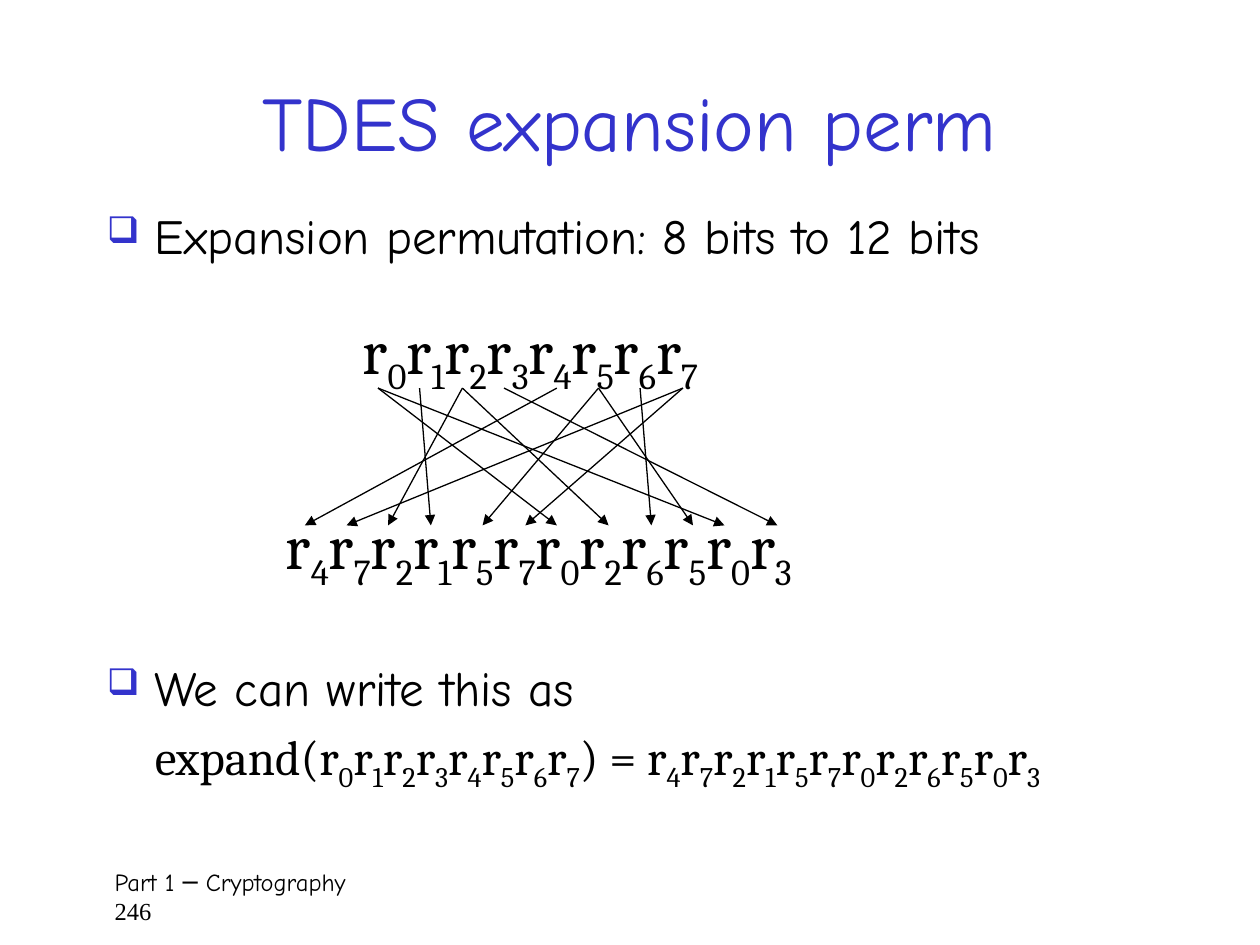
from dataclasses import dataclass

from lxml import etree
from pptx import Presentation
from pptx.dml.color import RGBColor
from pptx.enum.shapes import MSO_CONNECTOR
from pptx.enum.text import MSO_ANCHOR, PP_ALIGN
from pptx.oxml.ns import qn
from pptx.util import Inches, Pt

STRAIGHT = MSO_CONNECTOR.STRAIGHT
TOP, MIDDLE = MSO_ANCHOR.TOP, MSO_ANCHOR.MIDDLE
LEFT, CENTER = PP_ALIGN.LEFT, PP_ALIGN.CENTER


@dataclass(frozen=True)
class Theme:
    accent: RGBColor = RGBColor(0x33, 0x33, 0xCC)
    ink: RGBColor = RGBColor(0, 0, 0)
    hand: str = "Comic Neue"
    math: str = "Cambria"
    plain: str = "Times New Roman"
    title_size: int = 44
    bits_size: int = 36
    body_size: int = 28
    footer_size: int = 14
    arrow_width: float = 0.75
    subscript: int = -25000


THEME = Theme()
INPUT_BITS = range(8)
EXPANSION = (4, 7, 2, 1, 5, 7, 0, 2, 6, 5, 0, 3)
INPUT_X = (3, 3.33, 3.67, 4, 4.42, 4.75, 5.08, 5.42)
OUTPUT_X = (2.42, 2.75, 3.08, 3.42, 3.83, 4.17, 4.42, 4.83, 5.17, 5.5, 5.75, 6.17)
ARROW_TOP, ARROW_BOTTOM = 3.08, 4.17
BULLET_INDENT = 0.38


def add_text_frame(slide, box, anchor=TOP):
    frame = slide.shapes.add_textbox(*map(Inches, box)).text_frame
    frame.word_wrap = True
    frame.vertical_anchor = anchor
    return frame


def add_run(paragraph, text, size, name, color=THEME.ink):
    run = paragraph.add_run()
    run.text = text
    for attribute, value in {"size": Pt(size), "name": name}.items():
        setattr(run.font, attribute, value)
    run.font.color.rgb = color
    return run


def add_bits(paragraph, bits, size):
    """Write each bit as the letter r with its number as a subscript."""
    for bit in bits:
        add_run(paragraph, "r", size, THEME.math)
        number = add_run(paragraph, str(bit), size, THEME.math)
        number.font._element.set("baseline", str(THEME.subscript))


def set_indent(paragraph, bullet=False):
    properties = paragraph._p.get_or_add_pPr()
    properties.set("marL", str(Inches(BULLET_INDENT)))
    properties.set("indent", str(-Inches(BULLET_INDENT) if bullet else 0))
    if bullet:
        color = etree.SubElement(properties, qn("a:buClr"))
        etree.SubElement(color, qn("a:srgbClr"), val=str(THEME.accent))
        etree.SubElement(properties, qn("a:buSzPct"), val="75000")
        etree.SubElement(properties, qn("a:buChar"), char="❑")


def add_title(slide, box, text):
    paragraph = add_text_frame(slide, box, MIDDLE).paragraphs[0]
    paragraph.alignment = CENTER
    add_run(paragraph, text, THEME.title_size, THEME.hand, THEME.accent)


def add_bullet(slide, box, text):
    frame = add_text_frame(slide, box)
    set_indent(frame.paragraphs[0], bullet=True)
    add_run(frame.paragraphs[0], text, THEME.body_size, THEME.hand)
    return frame


def add_bit_row(slide, box, bits):
    add_bits(add_text_frame(slide, box).paragraphs[0], bits, THEME.bits_size)


def add_arrow(slide, start, end):
    arrow = slide.shapes.add_connector(STRAIGHT, *map(Inches, (*start, *end)))
    arrow.line.color.rgb = THEME.ink
    arrow.line.width = Pt(THEME.arrow_width)
    etree.SubElement(arrow.line._get_or_add_ln(), qn("a:tailEnd"), type="triangle")
    etree.SubElement(arrow._element.spPr, qn("a:effectLst"))


def add_expansion_arrows(slide):
    for bit, end_x in zip(EXPANSION, OUTPUT_X):
        add_arrow(slide, (INPUT_X[bit], ARROW_TOP), (end_x, ARROW_BOTTOM))


def add_formula(slide, box):
    frame = add_bullet(slide, box, "We can write this as")
    formula = frame.add_paragraph()
    set_indent(formula)
    formula.space_before = Pt(0.2 * THEME.body_size)
    size = THEME.body_size
    add_run(formula, "expand(", size, THEME.math)
    add_bits(formula, INPUT_BITS, size)
    add_run(formula, ") = ", size, THEME.math)
    add_bits(formula, EXPANSION, size)


def add_footer(slide, box, text, number):
    frame = add_text_frame(slide, box)
    frame.margin_left = Inches(0.16)
    frame.paragraphs[0].alignment = LEFT
    add_run(frame.paragraphs[0], text, THEME.footer_size, THEME.hand)
    add_run(frame.add_paragraph(), number, THEME.footer_size, THEME.plain)


def main():
    presentation = Presentation()
    presentation.slide_width, presentation.slide_height = Inches(10), Inches(7.5)
    slide = presentation.slides.add_slide(presentation.slide_layouts[6])
    add_footer(slide, (0.75, 6.83, 8.58, 0.5), "Part 1 ─ Cryptography", "246")
    add_title(slide, (0.75, 0.33, 8.5, 1.25), "TDES expansion perm")
    add_bullet(slide, (0.75, 1.58, 8.5, 0.75), "Expansion permutation: 8 bits to 12 bits")
    add_bit_row(slide, (2.78, 2.42, 3.14, 0.7), INPUT_BITS)
    add_bit_row(slide, (2.17, 3.97, 5.92, 0.7), EXPANSION)
    add_expansion_arrows(slide)
    add_formula(slide, (0.75, 5.17, 8.92, 1.33))
    presentation.save("out.pptx")


if __name__ == "__main__":
    main()
